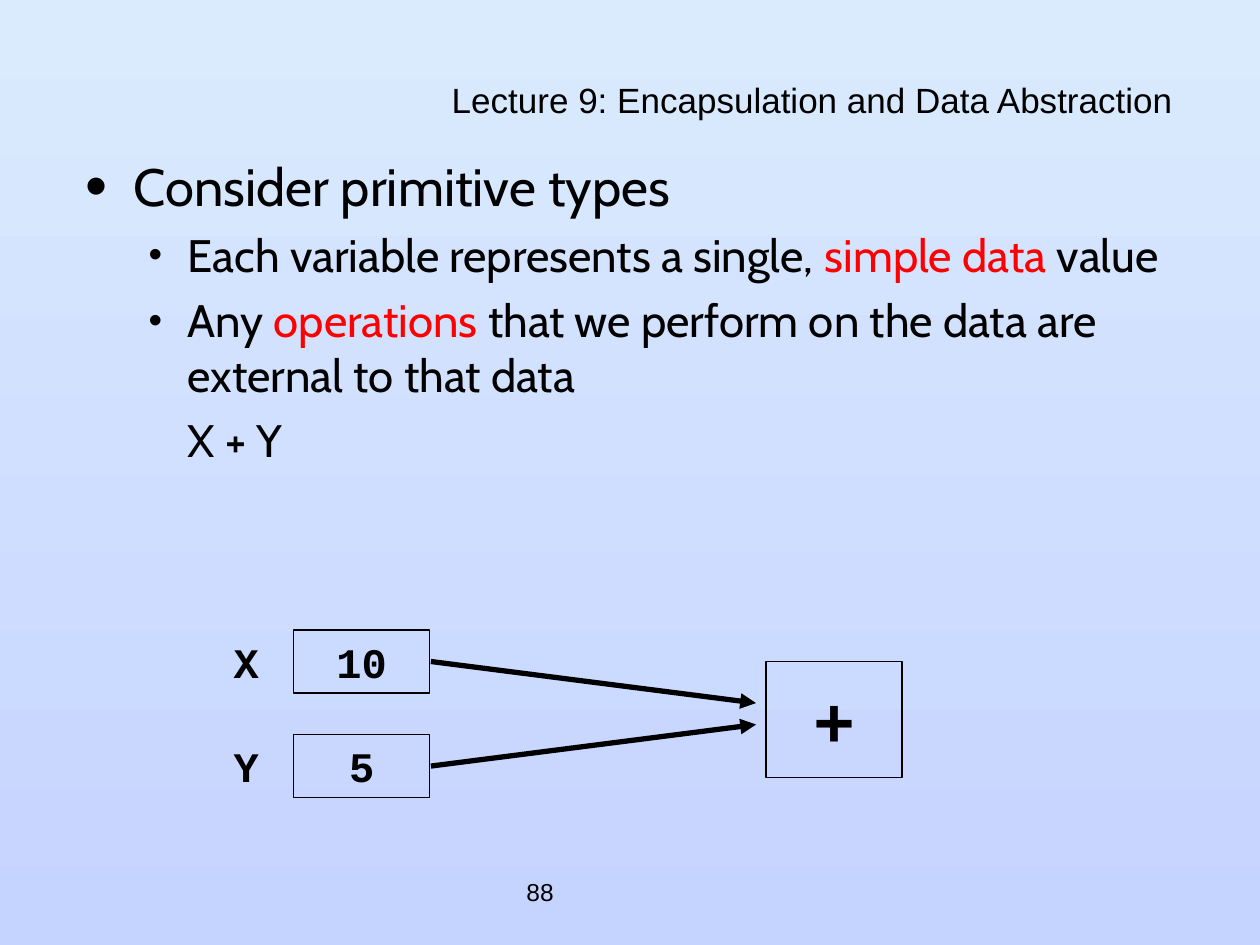
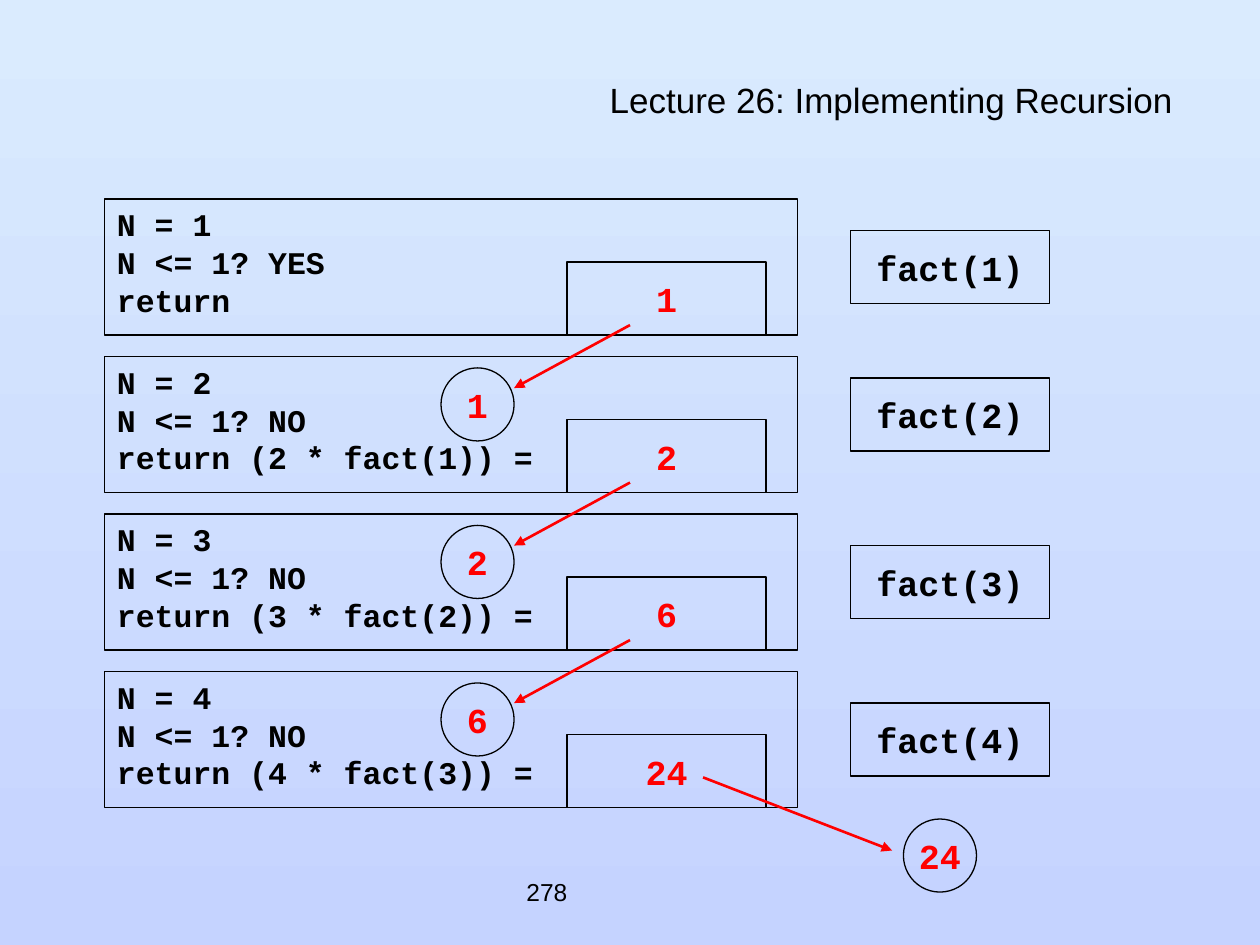
"""Build two lecture slides on data abstraction and recursion."""
from dataclasses import dataclass

from lxml.etree import SubElement as Sub
from pptx import Presentation
from pptx.dml.color import RGBColor
from pptx.enum.shapes import MSO_CONNECTOR as Link, MSO_SHAPE as Kind
from pptx.enum.text import MSO_ANCHOR as Anchor, MSO_AUTO_SIZE as Fit, PP_ALIGN as Align
from pptx.oxml.ns import qn
from pptx.util import Inches, Pt

BLACK = RGBColor(0x00, 0x00, 0x00)
RED = RGBColor(0xFF, 0x00, 0x00)
SKY = RGBColor(0xDA, 0xEB, 0xFE)
BLUE = RGBColor(0xC5, 0xD3, 0xFF)
SANS, BODY, MONO = "Arial", "Cabin", "Courier New"
STEP = 1.25


@dataclass
class Box:
    left: float
    top: float
    wide: float
    high: float
    lines: list[str]
    size: int = 20
    color: RGBColor = BLACK
    kind: Kind | None = Kind.RECTANGLE
    align: Align = Align.CENTER
    anchor: Anchor = Anchor.MIDDLE
    font: str = MONO
    bold: bool = True


@dataclass
class Arrow:
    start: tuple[float, float]
    end: tuple[float, float]
    color: RGBColor
    width: float


@dataclass
class Item:
    runs: list[tuple[str, RGBColor]]
    size: int = 26
    left: float = 0.81
    hang: float = 0.31
    scale: int = 85
    mark: str = "•"


def place(shape, left: float, top: float, wide: float, high: float) -> None:
    shape.left, shape.top = Inches(left), Inches(top)
    shape.width, shape.height = Inches(wide), Inches(high)


def add_run(para, text: str, font: str, size: int, color: RGBColor, bold: bool = False) -> None:
    run = para.add_run()
    run.text = text
    run.font.name, run.font.size, run.font.bold = font, Pt(size), bold
    run.font.color.rgb = color


def draw_box(slide, box: Box) -> None:
    area = [Inches(n) for n in (box.left, box.top, box.wide, box.high)]
    if box.kind is None:
        shape = slide.shapes.add_textbox(*area)
    else:
        shape = slide.shapes.add_shape(box.kind, *area)
        shape.shadow.inherit = False
        shape.fill.background()
        shape.line.color.rgb = BLACK
        shape.line.width = Pt(0.75)
    frame = shape.text_frame
    frame.word_wrap = box.align == Align.LEFT
    frame.vertical_anchor = box.anchor
    for i, line in enumerate(box.lines):
        para = frame.add_paragraph() if i else frame.paragraphs[0]
        para.alignment = box.align
        add_run(para, line, box.font, box.size, box.color, box.bold)


def draw_arrow(slide, arrow: Arrow) -> None:
    ends = [Inches(n) for n in (*arrow.start, *arrow.end)]
    link = slide.shapes.add_connector(Link.STRAIGHT, *ends)
    link.line.color.rgb = arrow.color
    link.line.width = Pt(arrow.width)
    Sub(link.line._get_or_add_ln(), qn("a:tailEnd"), type="triangle")
    Sub(link._element.spPr, qn("a:effectLst"))


def add_bullet(para, item: Item) -> None:
    props = para._p.get_or_add_pPr()
    props.set("marL", str(Inches(item.left)))
    props.set("indent", str(-Inches(item.hang)))
    if item.mark:
        Sub(Sub(props, qn("a:buClr")), qn("a:srgbClr"), val=str(BLACK))
        Sub(props, qn("a:buSzPct"), val=str(item.scale * 1000))
        Sub(props, qn("a:buFont"), typeface=SANS)
        Sub(props, qn("a:buChar"), char=item.mark)
    else:
        Sub(props, qn("a:buNone"))


def fill_list(shape, items: list[Item]) -> None:
    place(shape, 0.58, 1.17, 8.83, 5.5)
    frame = shape.text_frame
    frame.auto_size = Fit.NONE
    for i, item in enumerate(items):
        para = frame.add_paragraph() if i else frame.paragraphs[0]
        para.level = min(i, 1)
        add_bullet(para, item)
        para.space_before = Pt(6 if i else 0)
        for text, color in item.runs:
            add_run(para, text, BODY, item.size, color)


def add_slide(deck, layout: int, title: str, page: str):
    slide = deck.slides.add_slide(deck.slide_layouts[layout])
    head = slide.shapes.title
    place(head, 0.58, 0.67, 8.83, 0.33)
    frame = head.text_frame
    frame.auto_size = Fit.NONE
    frame.vertical_anchor = Anchor.MIDDLE
    para = frame.paragraphs[0]
    para.alignment, para.line_spacing = Align.RIGHT, 0.7
    add_run(para, title, SANS, 20, BLACK)
    draw_box(slide, Box(4.08, 6.83, 2.08, 0.5, [page], 14, kind=None,
                        align=Align.LEFT, font=SANS, bold=False))
    return slide


def build_types(deck) -> None:
    slide = add_slide(deck, 1, "Lecture 9: Encapsulation and Data Abstraction", "88")
    fill_list(slide.placeholders[1], [
        Item([("Consider primitive types", BLACK)], 30, 0.38, 0.38, 120),
        Item([("Each variable represents a single, ", BLACK),
              ("simple data", RED), (" value", BLACK)]),
        Item([("Any ", BLACK), ("operations", RED),
              (" that we perform on the data are external to that data", BLACK)]),
        Item([("X + Y", BLACK)], hang=0, mark=""),
    ])
    for name, value, top, tip in (("X", "10", 5, 5.58), ("Y", "5", 5.83, 5.75)):
        draw_box(slide, Box(1.58, top, 0.75, 0.5, [name], 24, kind=None))
        draw_box(slide, Box(2.33, top, 1.08, 0.5, [value], 24))
        draw_arrow(slide, Arrow((3.42, top + 0.25), (6, tip), BLACK, 3))
    draw_box(slide, Box(6.08, 5.25, 1.08, 0.92, ["+"], 40))


def build_calls(deck) -> None:
    slide = add_slide(deck, 5, "Lecture 26: Implementing Recursion", "278")
    values = ["1", "2", "6", "24"]
    tops = [1.83, 3, 4.33, 5.58]
    for i, (value, top) in enumerate(zip(values, tops)):
        n, down = i + 1, i * STEP
        test = "NO" if i else "YES"
        back = f"return ({n} * fact({i})) =" if i else "return"
        draw_box(slide, Box(0.83, 1.58 + down, 5.5, 1.08,
                            [f"N = {n}", f"N <= 1? {test}", back], 18,
                            align=Align.LEFT, anchor=Anchor.TOP))
        draw_box(slide, Box(6.75, top, 1.58, 0.58, [f"fact({n})"]))
        draw_box(slide, Box(4.5, 2.08 + down, 1.58, 0.58, [value], color=RED))
    spots = [(3.5, 2.92 + i * STEP) for i in range(3)] + [(7.17, 6.5)]
    paths = [((5, 2.58 + i * STEP), (4.08, 3.08 + i * STEP)) for i in range(3)]
    paths.append(((5.58, 6.17), (7.08, 6.75)))
    for value, spot, (start, end) in zip(values, spots, paths):
        draw_arrow(slide, Arrow(start, end, RED, 1.5))
        draw_box(slide, Box(*spot, 0.58, 0.58, [value], color=RED, kind=Kind.OVAL))


def paint_back(deck) -> None:
    fill = deck.slide_master.background.fill
    fill.gradient()
    fill.gradient_angle = 270
    for stop, color, spot in zip(fill.gradient_stops, (SKY, BLUE), (0, 1)):
        stop.color.rgb, stop.position = color, spot


def main() -> None:
    deck = Presentation()
    deck.slide_width, deck.slide_height = Inches(10), Inches(7.5)
    paint_back(deck)
    build_types(deck)
    build_calls(deck)
    deck.save("out.pptx")


if __name__ == "__main__":
    main()
